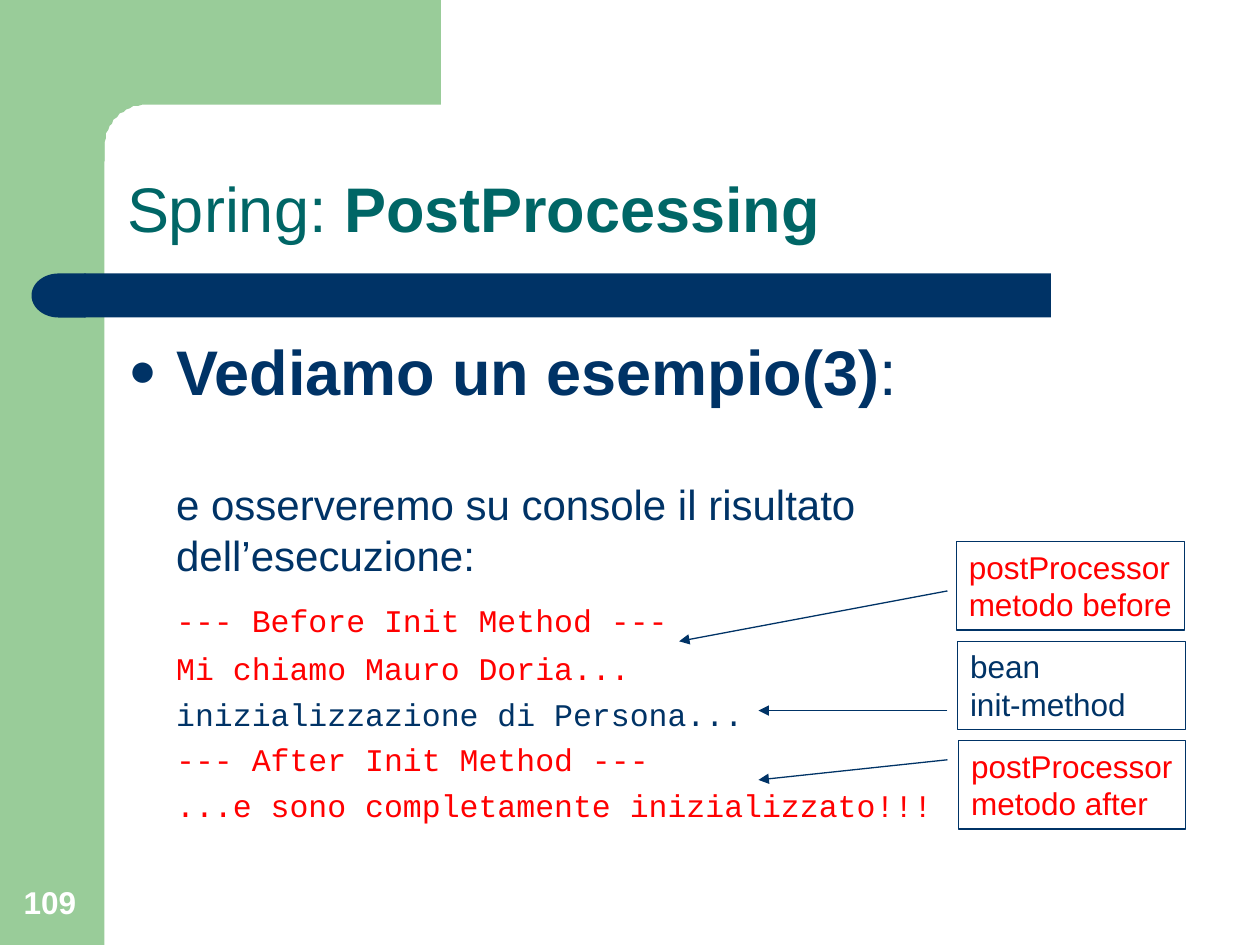
import math
from dataclasses import dataclass

from lxml import etree
from pptx import Presentation
from pptx import util as u
from pptx.dml.color import RGBColor
from pptx.enum import shapes, text
from pptx.oxml.ns import qn

PX = 9144


@dataclass(frozen=True)
class Theme:
    green: str = "99CC99"
    navy: str = "003366"
    teal: str = "006666"
    red: str = "FF0000"
    white: str = "FFFFFF"
    heading: int = 36
    body: int = 24
    small: int = 18
    small_line: float = 21.5
    sans: str = "Arial"
    mono: str = "Courier New"


def px(value):
    return u.Emu(round(value * PX))


def rgb(value):
    return RGBColor.from_string(value)


class SlideBuilder:
    def __init__(self, page, theme):
        self.page = page
        self.theme = theme

    def paint(self, shape, color):
        shape.shadow.inherit = False
        shape.fill.solid()
        shape.fill.fore_color.rgb = rgb(color)
        shape.line.fill.background()
        return shape

    def block(self, kind, frame, color):
        shape = self.page.shapes.add_shape(kind, *map(px, frame))
        return self.paint(shape, color)

    def outline(self, points, color):
        builder = self.page.shapes.build_freeform(*points[0], scale=PX)
        builder.add_line_segments(points[1:], close=True)
        return self.paint(builder.convert_to_shape(), color)

    def text_box(self, frame, anchor=text.MSO_ANCHOR.TOP):
        box = self.page.shapes.add_textbox(*map(px, frame)).text_frame
        box.word_wrap = True
        box.vertical_anchor = anchor
        return box

    def para(self, box, spans, size, color, font=None, line=None, before=0, margin=0, bullet=False):
        first = box.paragraphs[0]
        para = box.add_paragraph() if first.runs else first
        props = para._p.get_or_add_pPr()
        props.set("marL", str(px(margin)))
        props.set("indent", str(-px(margin) if bullet else 0))
        if bullet:
            tint = etree.SubElement(props, qn("a:buClr"))
            etree.SubElement(tint, qn("a:srgbClr"), val=color)
            etree.SubElement(props, qn("a:buSzPct"), val="75000")
            etree.SubElement(props, qn("a:buFont"), typeface=self.theme.sans)
            etree.SubElement(props, qn("a:buChar"), char="●")
        para.alignment = text.PP_ALIGN.LEFT
        para.space_before = u.Pt(before)
        if line:
            para.line_spacing = line
        for content, bold in spans:
            span = para.add_run()
            span.text = content
            span.font.name = font or self.theme.sans
            span.font.size = u.Pt(size)
            span.font.bold = bold
            span.font.color.rgb = rgb(color)

    def callout(self, frame, lines, color, wrap):
        theme = self.theme
        shape = self.page.shapes.add_shape(shapes.MSO_SHAPE.RECTANGLE, *map(px, frame))
        shape.shadow.inherit = False
        shape.fill.background()
        shape.line.color.rgb = rgb(theme.navy)
        shape.line.width = u.Pt(0.75)
        box = shape.text_frame
        box.word_wrap = wrap
        box.vertical_anchor = text.MSO_ANCHOR.TOP
        for line in lines:
            self.para(box, [(line, False)], theme.small, color, line=u.Pt(theme.small_line))

    def arrow(self, start, end):
        arrow = self.page.shapes.add_connector(
            shapes.MSO_CONNECTOR.STRAIGHT, *map(px, start + end))
        arrow.line.color.rgb = rgb(self.theme.navy)
        arrow.line.width = u.Pt(0.75)
        etree.SubElement(arrow.line._get_or_add_ln(), qn("a:tailEnd"), type="triangle")
        etree.SubElement(arrow._element.spPr, qn("a:effectLst"))


def draw_frame(slide, theme):
    kinds = shapes.MSO_SHAPE
    slide.block(kinds.RECTANGLE, (0, 0, 83, 750), theme.green)
    center, radius, steps = 116, 33, 16
    angles = [math.pi / 2 * step / steps for step in range(steps + 1)]
    corner = [(center - radius * math.sin(a), center - radius * math.cos(a)) for a in angles]
    slide.outline([(50, 0), (350, 0), (350, 83), *corner, (83, 128), (50, 128)], theme.green)
    slide.block(kinds.RECTANGLE, (67, 217, 767, 35), theme.navy)
    slide.block(kinds.FLOWCHART_DELAY, (25, 217, 43, 35), theme.navy).rotation = 180


def draw_text(slide, theme):
    number = slide.text_box((9, 683, 64, 53), text.MSO_ANCHOR.BOTTOM)
    slide.para(number, [("109", True)], theme.small, theme.white)
    title = slide.text_box((91, 91, 851, 109), text.MSO_ANCHOR.BOTTOM)
    slide.para(title, [("Spring:", False), (" PostProcessing", True)],
               theme.heading, theme.teal, line=0.9)

    body = slide.text_box((92, 258, 840, 407))
    slide.para(body, [("Vediamo un esempio(3)", True), (":", False)], theme.heading, theme.navy,
               line=u.Pt(44), margin=38, bullet=True)
    slide.para(body, [("e osserveremo su console il risultato dell’esecuzione:", False)],
               theme.body, theme.navy, line=u.Pt(29), before=40, margin=38)
    console = [
        ("--- Before Init Method ---", theme.red, 12.5),
        ("Mi chiamo Mauro Doria...", theme.red, 6),
        ("inizializzazione di Persona...", theme.navy, 4.5),
        ("--- After Init Method ---", theme.red, 4.5),
        ("...e sono completamente inizializzato!!!", theme.red, 4.5),
    ]
    for line, color, before in console:
        slide.para(body, [(line, False)], theme.small, color, theme.mono,
                   u.Pt(theme.small_line), before, 38)


def draw_callouts(slide, theme):
    callouts = [
        ((759, 430, 181, 70), ("postProcessor", "metodo before"), theme.red, False),
        ((760, 509, 181, 70), ("bean", "init-method"), theme.navy, True),
        ((761, 588, 180, 70), ("postProcessor", "metodo after"), theme.red, False),
    ]
    for callout in callouts:
        slide.callout(*callout)
    for start_y, end in ((469, (539, 509)), (564, (602, 564)), (603, (602, 619))):
        slide.arrow((752, start_y), end)


def main():
    deck = Presentation()
    deck.slide_width, deck.slide_height = px(1000), px(750)
    theme = Theme()
    slide = SlideBuilder(deck.slides.add_slide(deck.slide_layouts[6]), theme)
    draw_frame(slide, theme)
    draw_text(slide, theme)
    draw_callouts(slide, theme)
    deck.save("out.pptx")


if __name__ == "__main__":
    main()
